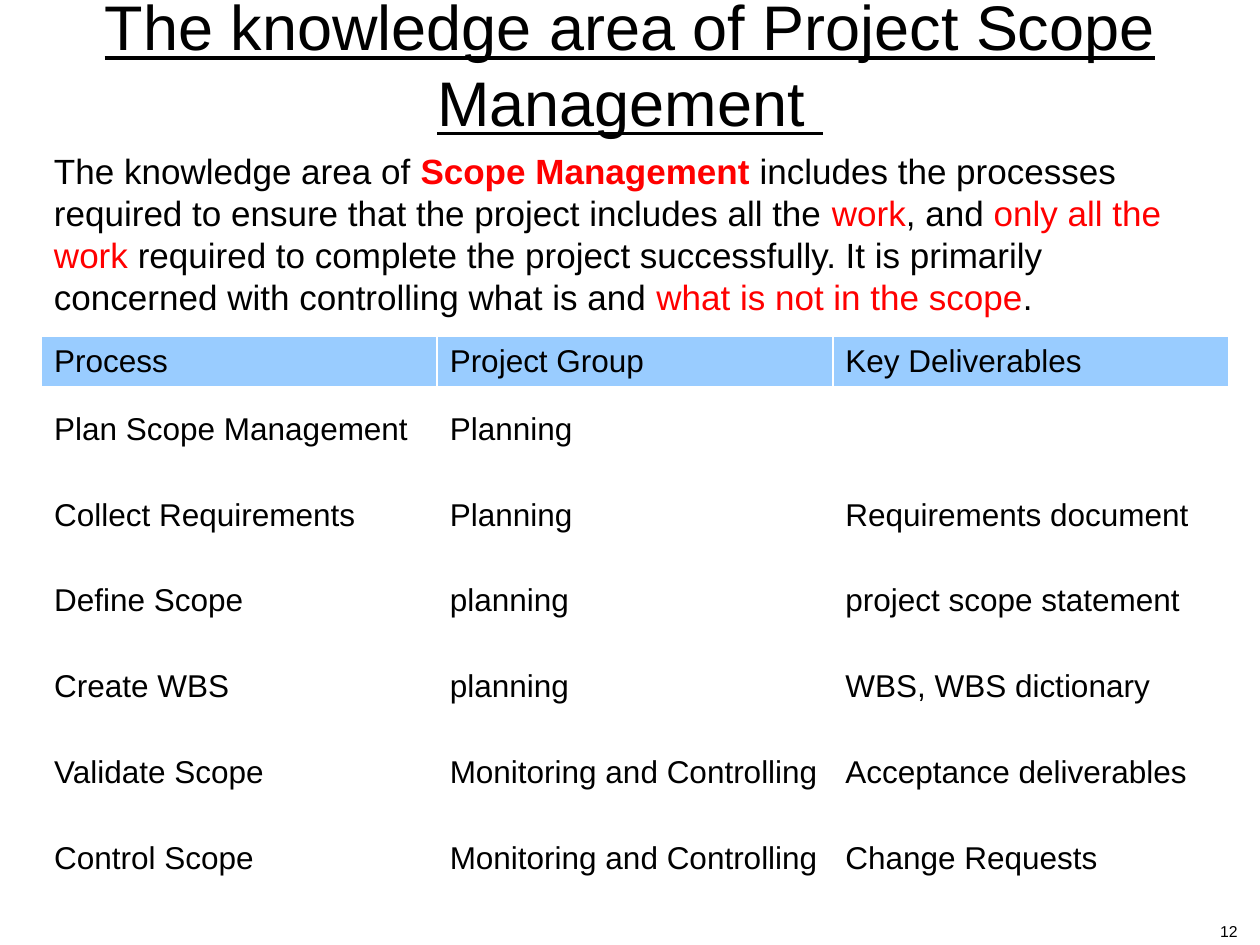
from dataclasses import dataclass

from pptx import Presentation
from pptx.dml.color import RGBColor
from pptx.enum import text
from pptx.util import Inches, Pt


@dataclass(frozen=True)
class Theme:
    font: str = "Arial"
    ink: RGBColor = RGBColor(0x00, 0x00, 0x00)
    accent: RGBColor = RGBColor(0xFF, 0x00, 0x00)
    header: RGBColor = RGBColor(0x99, 0xCC, 0xFF)
    title_size: int = 36
    body_size: int = 20
    table_size: int = 18
    number_size: int = 9


THEME = Theme()

INTRO = [
    # wording, highlighted, bold
    ("The knowledge area of ", False, False),
    ("Scope Management ", True, True),
    ("includes the processes required to ensure that the project "
     "includes all the ", False, False),
    ("work", True, False),
    (", and ", False, False),
    ("only all the work ", True, False),
    ("required to complete the project successfully. It is primarily "
     "concerned with controlling what is and ", False, False),
    ("what is not in the scope", True, False),
    (".", False, False),
]

PROCESSES = [
    ("Process", "Project Group", "Key Deliverables"),
    ("Plan Scope Management", "Planning", ""),
    ("Collect Requirements", "Planning", "Requirements document"),
    ("Define Scope", "planning", "project scope statement"),
    ("Create WBS", "planning", "WBS, WBS dictionary"),
    ("Validate Scope", "Monitoring and Controlling", "Acceptance deliverables"),
    ("Control Scope", "Monitoring and Controlling", "Change Requests"),
]


def style(font, size, color=THEME.ink, bold=False, underline=False):
    font.name = THEME.font
    font.size = Pt(size)
    font.color.rgb = color
    font.bold = bold
    font.underline = underline


def add_text(slide, box, runs, size, align=text.PP_ALIGN.LEFT,
             anchor=text.MSO_ANCHOR.TOP, underline=False):
    """Add one paragraph built from (wording, highlighted, bold) runs."""
    tf = slide.shapes.add_textbox(*map(Inches, box)).text_frame
    tf.word_wrap = True
    tf.vertical_anchor = anchor
    p = tf.paragraphs[0]
    p.alignment = align
    for wording, highlighted, bold in runs:
        r = p.add_run()
        r.text = wording
        color = THEME.accent if highlighted else THEME.ink
        style(r.font, size, color, bold, underline)
    return tf


def add_process_table(slide, left, top, col_width, header_height, row_height):
    n_rows, n_cols = len(PROCESSES), len(PROCESSES[0])
    height = header_height + (n_rows - 1) * row_height
    table = slide.shapes.add_table(
        n_rows, n_cols, Inches(left), Inches(top),
        Inches(n_cols * col_width), Inches(height)).table
    table.first_row = table.horz_banding = False
    for column in table.columns:
        column.width = Inches(col_width)
    for i, labels in enumerate(PROCESSES):
        table.rows[i].height = Inches(row_height if i else header_height)
        for cell, label in zip(table.rows[i].cells, labels):
            fill_cell(cell, label, is_header=i == 0)


def fill_cell(cell, label, is_header):
    cell.vertical_anchor = text.MSO_ANCHOR.MIDDLE
    if is_header:
        cell.fill.solid()
        cell.fill.fore_color.rgb = THEME.header
    else:
        cell.fill.background()
    p = cell.text_frame.paragraphs[0]
    p.text = label
    style(p.font, THEME.table_size)
    for r in p.runs:
        style(r.font, THEME.table_size)


def main():
    prs = Presentation()
    prs.slide_width, prs.slide_height = Inches(10), Inches(7.5)
    slide = prs.slides.add_slide(prs.slide_layouts[6])

    title = "The knowledge area of Project Scope Management "
    add_text(slide, (0.5, 0.09, 9, 0.83), [(title, False, False)],
             THEME.title_size, text.PP_ALIGN.CENTER,
             text.MSO_ANCHOR.MIDDLE, underline=True)
    add_text(slide, (9.5, 7.27, 0.42, 0.17), [("12", False, False)],
             THEME.number_size, text.PP_ALIGN.RIGHT)
    intro = add_text(slide, (0.33, 1.14, 9.42, 1.45), INTRO, THEME.body_size)
    intro.auto_size = text.MSO_AUTO_SIZE.SHAPE_TO_FIT_TEXT
    add_process_table(slide, left=0.33, top=2.67, col_width=3.14,
                      header_height=0.39, row_height=0.68)

    prs.save("out.pptx")


if __name__ == "__main__":
    main()
